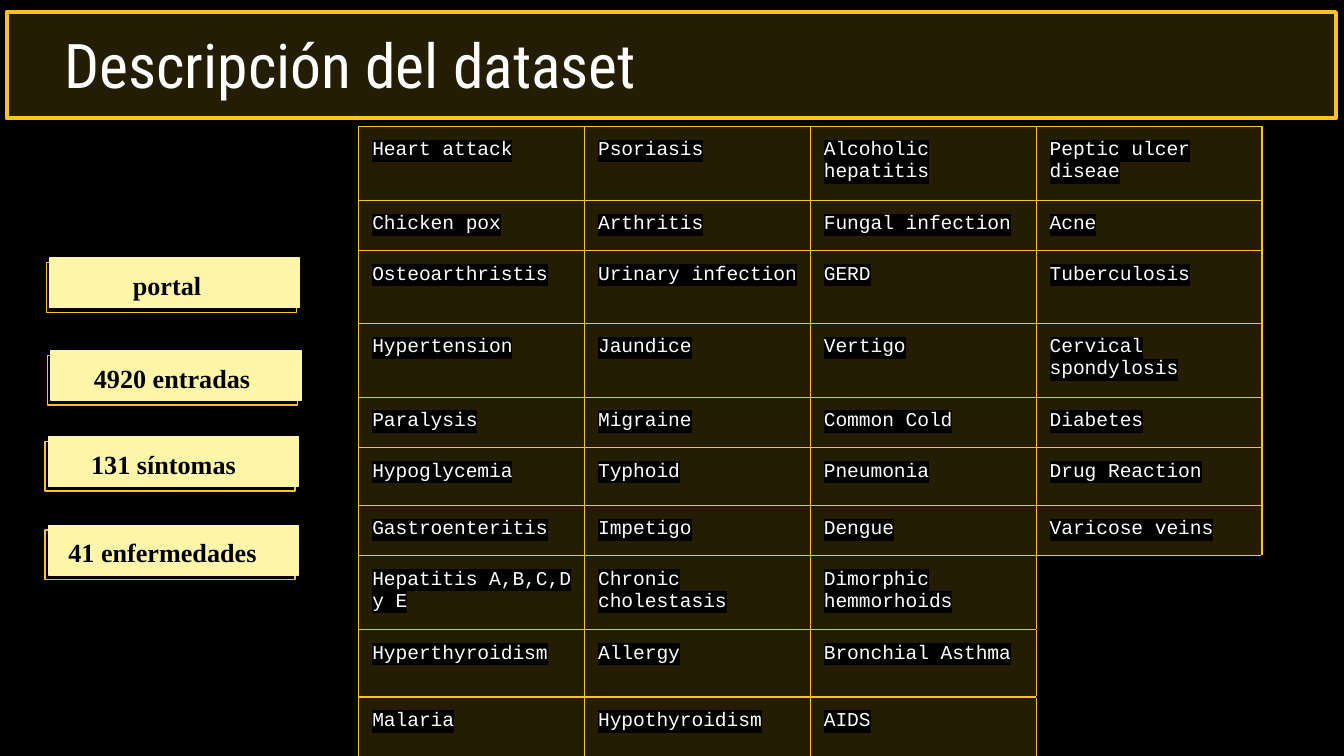
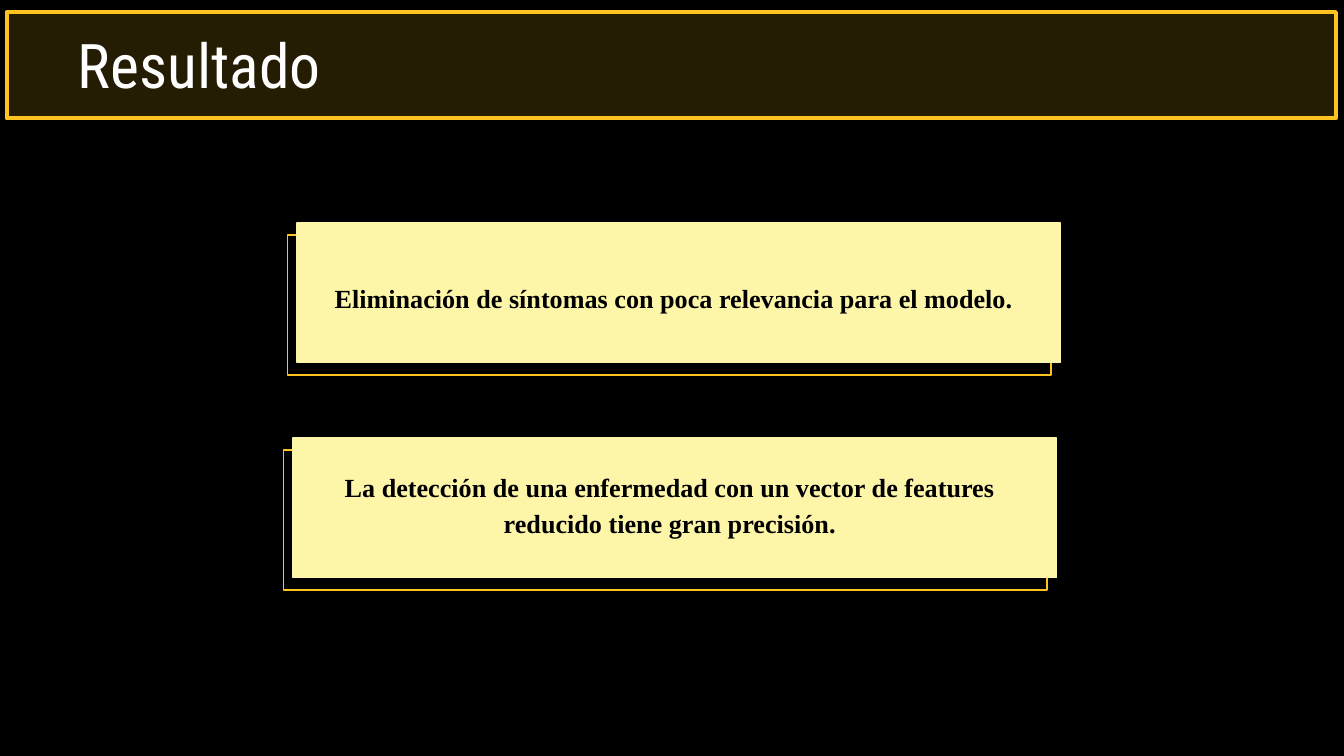
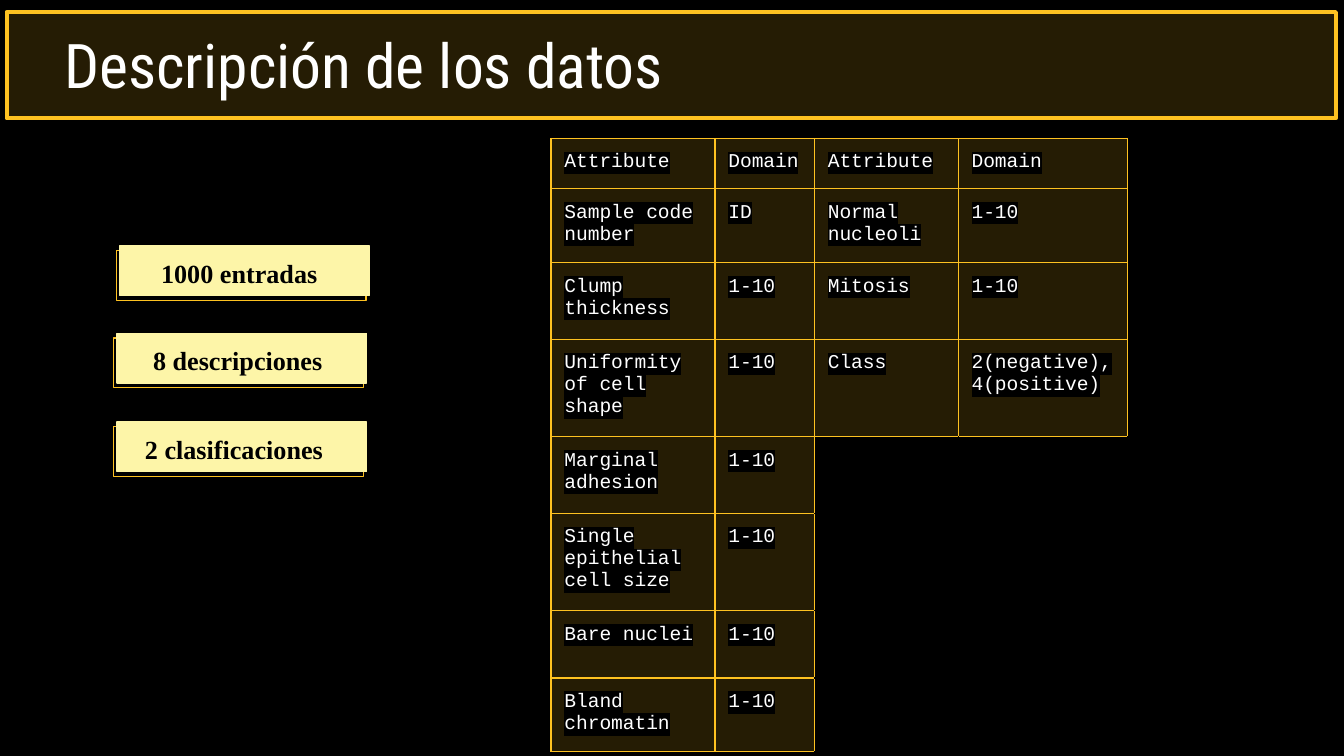
from typing import NamedTuple

from lxml import etree
from pptx import Presentation, util as u
from pptx.dml.color import RGBColor
from pptx.enum import shapes, text
from pptx.oxml.ns import qn

COLORS = {"black": "000000", "white": "FFFFFF", "gold": "FEC221", "cream": "FDF5A8"}
TITLE_FONT, LABEL_FONT, CELL_FONT = "Roboto Condensed", "Times New Roman", "Courier New"
BAND_ALPHA = 15
THIN, THICK = 0.75, 2.25
WIDTH, HEIGHT = u.Inches(10), u.Inches(5.625)
COLUMN = WIDTH // 100  # square grid: 100 columns across the slide


class Box(NamedTuple):
    """Place and size in grid columns."""
    x: float
    y: float
    w: float
    h: float

    def shift(self, dx: float, dy: float) -> "Box":
        return self._replace(x=self.x + dx, y=self.y + dy)

    def emu(self) -> list[int]:
        return [round(v * COLUMN) for v in self]


class Label(NamedTuple):
    """Small card: its corner, and how far the text box is moved from it."""
    words: str
    x: float
    y: float
    text_dx: float = 0.7
    indent: float = 0


class Conclusion(NamedTuple):
    words: str
    x: float
    y: float
    text_dy: float


class Grid(NamedTuple):
    x: float
    y: float
    cols: list[float]
    rows: list[float]
    cells: list[list[str]]


BAND = Box(0.5, 0.9, 98.9, 7.9)
LABEL_SIZE = (18.6, 3.7)
CONCLUSION_SIZE = (56.8, 10.4)

DATASET_LABELS = [
    Label("portal", 3.7, 19.2, 0.2, indent=3.5),
    Label("4920 entradas", 3.8, 26.1),
    Label("131 síntomas", 3.6, 32.5),
    Label("41 enfermedades", 3.6, 39.1, -1),
]
DATA_LABELS = [
    Label("1000 entradas", 8.9, 18.3, 0.6),
    Label("8 descripciones", 8.7, 24.8, 0.2),
    Label("2 clasificaciones", 8.7, 31.4, -0.4),
]
CONCLUSIONS = [
    Conclusion("Eliminación de síntomas con poca relevancia para el modelo.",
               22.1, 16.6, 0.2),
    Conclusion("La detección de una enfermedad con un vector de features "
               "reducido tiene gran precisión.", 21.8, 32.6, -0.4),
]
DISEASES = Grid(26.7, 9.4, [16.8] * 4,
                [5.4, 3.7, 5.4, 5.4, 3.7, 4.3, 3.7, 5.4, 4.3, 4.3], [
    ["Heart attack", "Psoriasis", "Alcoholic hepatitis", "Peptic ulcer diseae"],
    ["Chicken pox", "Arthritis", "Fungal infection", "Acne"],
    ["Osteoarthristis", "Urinary infection", "GERD", "Tuberculosis"],
    ["Hypertension", "Jaundice", "Vertigo", "Cervical spondylosis"],
    ["Paralysis", "Migraine", "Common Cold", "Diabetes"],
    ["Hypoglycemia", "Typhoid", "Pneumonia", "Drug Reaction"],
    ["Gastroenteritis", "Impetigo", "Dengue", "Varicose veins"],
    ["Hepatitis A,B,C,D y E", "Chronic cholestasis", "Dimorphic hemmorhoids", ""],
    ["Hyperthyroidism", "Allergy", "Bronchial Asthma", ""],
    ["Malaria", "Hypothyroidism", "AIDS", ""],
])
ATTRIBUTES = Grid(41, 10.3, [12.2, 7.4, 10.7, 12.6],
                  [3.7, 5.5, 5.7, 7.2, 5.7, 7.2, 4.3, 5.5], [
    ["Attribute", "Domain", "Attribute", "Domain"],
    ["Sample code number", "ID", "Normal nucleoli", "1-10"],
    ["Clump thickness", "1-10", "Mitosis", "1-10"],
    ["Uniformity of cell shape", "1-10", "Class", "2(negative), 4(positive)"],
    ["Marginal adhesion", "1-10", "", ""],
    ["Single epithelial cell size", "1-10", "", ""],
    ["Bare nuclei", "1-10", "", ""],
    ["Bland chromatin", "1-10", "", ""],
])


# Shared formatting
def rgb(name: str) -> RGBColor:
    return RGBColor.from_string(COLORS[name])


def set_font(font, name: str, size: float, color: str, bold: bool = False) -> None:
    font.name, font.size, font.bold = name, u.Pt(size), bold
    font.color.rgb = rgb(color)


def set_margins(tf) -> None:
    tf.margin_left = tf.margin_top = tf.margin_right = tf.margin_bottom = COLUMN


def color_element(parent, tag: str, color: str):
    """Add a colour-holding element such as a:solidFill or a:highlight."""
    holder = etree.SubElement(parent, qn(tag))
    etree.SubElement(holder, qn("a:srgbClr"), val=COLORS[color])
    return holder


def fade(element) -> None:
    """Make the first colour in the element see-through."""
    color = next(element.iter(qn("a:srgbClr")))
    etree.SubElement(color, qn("a:alpha"), val=str(BAND_ALPHA * 1000))


def add_rect(s, box: Box, fill: str | None, line: str, width: float = THIN):
    sp = s.shapes.add_shape(shapes.MSO_SHAPE.RECTANGLE, *box.emu())
    sp.shadow.inherit = False
    if fill:
        sp.fill.solid()
        sp.fill.fore_color.rgb = rgb(fill)
    else:
        sp.fill.background()
    sp.line.color.rgb = rgb(line)
    sp.line.width = u.Pt(width)
    return sp


def add_titled_slide(prs, title: str, title_x: float = 3.8):
    s = prs.slides.add_slide(prs.slide_layouts[5])
    band = add_rect(s, BAND, "gold", "gold", THICK)
    fade(band.element)
    sp = s.shapes.title
    sp.left, sp.top, sp.width, sp.height = Box(title_x, 1, 53.5, 7.6).emu()
    band.element.addnext(sp.element)  # title in front of its band
    tf = sp.text_frame
    tf.text = title
    tf.auto_size = text.MSO_AUTO_SIZE.NONE
    tf.vertical_anchor = text.MSO_ANCHOR.TOP
    set_margins(tf)
    p = tf.paragraphs[0]
    p.alignment = text.PP_ALIGN.LEFT
    set_font(p.font, TITLE_FONT, 33, "white")
    return s


# Cards: a cream box over a shifted gold outline, with a text box on top
def add_card(s, box: Box, offset: tuple[float, float], text_box: Box, words: str):
    add_rect(s, box.shift(*offset), None, "gold")
    add_rect(s, box, "cream", "cream")
    tf = s.shapes.add_textbox(*text_box.emu()).text_frame
    tf.word_wrap = True
    set_margins(tf)
    p = tf.paragraphs[0]
    p.text = words
    p.line_spacing = 1.15
    set_font(p.font, LABEL_FONT, 14, "black", bold=True)
    return tf


def add_label(s, label: Label) -> None:
    box = Box(label.x, label.y, *LABEL_SIZE)
    text_box = Box(label.x + label.text_dx, label.y - 0.5, 21.1, 7.6)
    p = add_card(s, box, (-0.25, 0.35), text_box, label.words).paragraphs[0]
    p.alignment = text.PP_ALIGN.LEFT if label.indent else text.PP_ALIGN.JUSTIFY
    pPr = p._p.get_or_add_pPr()
    pPr.set("marL", str(round(1.5 * COLUMN)))
    pPr.set("indent", str(round(label.indent * COLUMN)))


def add_conclusion(s, item: Conclusion) -> None:
    box = Box(item.x, item.y, *CONCLUSION_SIZE)
    text_box = box.shift(0.9, item.text_dy)._replace(w=54.3)
    tf = add_card(s, box, (-0.7, 0.9), text_box, item.words)
    tf.vertical_anchor = text.MSO_ANCHOR.MIDDLE
    tf.paragraphs[0].alignment = text.PP_ALIGN.CENTER


# Tables: cells with words are gold, empty ones melt into the background
def set_borders(cell, colors: dict[str, str]) -> None:
    tcPr = cell._tc.get_or_add_tcPr()
    for i, (side, color) in enumerate(colors.items()):
        ln = etree.Element(qn(f"a:ln{side}"), w=str(u.Pt(THIN)))
        color_element(ln, "a:solidFill", color)
        tcPr.insert(i, ln)


def fill_cell(cell, words: str) -> None:
    set_margins(cell)
    cell.fill.solid()
    cell.fill.fore_color.rgb = rgb("gold" if words else "black")
    if not words:
        return
    fade(cell._tc.tcPr)
    r = cell.text_frame.paragraphs[0].add_run()
    r.text = words
    set_font(r.font, CELL_FONT, 10.5, "white")
    rPr = r.font._element
    rPr.find(qn("a:solidFill")).addnext(color_element(rPr, "a:highlight", "black"))


def add_grid(s, grid: Grid) -> None:
    box = Box(grid.x, grid.y, sum(grid.cols), sum(grid.rows))
    table = s.shapes.add_table(len(grid.rows), len(grid.cols), *box.emu()).table
    table.first_row = table.horz_banding = False
    for column, w in zip(table.columns, grid.cols):
        column.width = round(w * COLUMN)
    for row, h in zip(table.rows, grid.rows):
        row.height = round(h * COLUMN)
    for i, words_row in enumerate(grid.cells):
        for j, words in enumerate(words_row):
            cell = table.cell(i, j)
            fill_cell(cell, words)
            left = words or (j and words_row[j - 1])
            top = words or (i and grid.cells[i - 1][j])
            sides = {"L": left, "R": words, "T": top, "B": words}
            set_borders(cell, {k: "gold" if v else "black" for k, v in sides.items()})


def main() -> None:
    prs = Presentation()
    prs.slide_width, prs.slide_height = WIDTH, HEIGHT
    background = prs.slide_master.background.fill
    background.solid()
    background.fore_color.rgb = rgb("black")

    # Slide 1: disease dataset
    s = add_titled_slide(prs, "Descripción del dataset")
    for label in DATASET_LABELS:
        add_label(s, label)
    add_grid(s, DISEASES)

    # Slide 2: result
    s = add_titled_slide(prs, "Resultado", title_x=4.8)
    for item in CONCLUSIONS:
        add_conclusion(s, item)

    # Slide 3: sample data
    s = add_titled_slide(prs, "Descripción de los datos")
    for label in DATA_LABELS:
        add_label(s, label)
    add_grid(s, ATTRIBUTES)

    prs.save("out.pptx")


if __name__ == "__main__":
    main()
